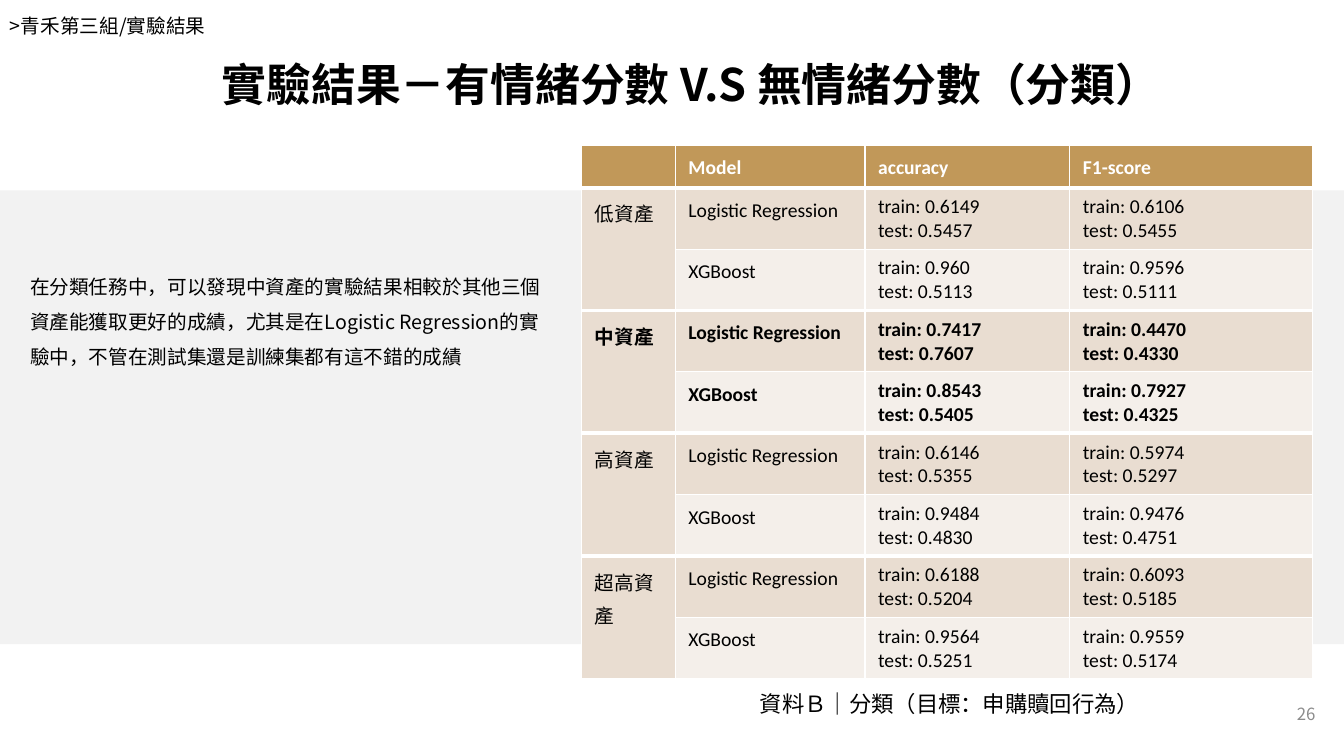
"""Build the slide comparing classification results by asset group."""
from dataclasses import dataclass

from lxml import etree
from pptx import Presentation
from pptx.dml.color import RGBColor
from pptx.enum.shapes import MSO_SHAPE
from pptx.enum.text import MSO_ANCHOR, MSO_AUTO_SIZE, PP_ALIGN
from pptx.oxml.ns import qn
from pptx.util import Cm, Pt

RECTANGLE = MSO_SHAPE.RECTANGLE
TOP, MIDDLE = MSO_ANCHOR.TOP, MSO_ANCHOR.MIDDLE
LEFT, CENTER, RIGHT = PP_ALIGN.LEFT, PP_ALIGN.CENTER, PP_ALIGN.RIGHT
NO_AUTOFIT = MSO_AUTO_SIZE.NONE


@dataclass(frozen=True)
class Theme:
    black: str = "000000"
    white: str = "FFFFFF"
    grey: str = "8C8C8C"
    band: str = "F2F2F2"
    header: str = "C19859"
    tan: str = "E9DDD1"
    cream: str = "F4EFEA"
    title_size: int = 32
    caption_size: int = 16
    body_size: int = 14
    number_size: int = 12
    chinese: str = "Noto Sans CJK TC"
    latin: str = "Calibri"


theme = Theme()


def format_text(frame, size, color, font_name, bold=False, align=LEFT, spacing=None):
    """Give every paragraph of a text frame one font, alignment and spacing."""
    for paragraph in frame.paragraphs:
        paragraph.alignment = align
        if spacing:
            paragraph.line_spacing = spacing
        paragraph.font.size = Pt(size)
        paragraph.font.bold = bold
        paragraph.font.color.rgb = RGBColor.from_string(color)
        paragraph.font.name = font_name
        properties = paragraph._p.pPr.find(qn("a:defRPr"))
        etree.SubElement(properties, qn("a:ea"), typeface=font_name)


def set_border(cell, side, points):
    """Draw one white edge of a table cell."""
    line = etree.SubElement(cell._tc.get_or_add_tcPr(), qn(f"a:ln{side}"), w=str(Pt(points)))
    fill = etree.SubElement(line, qn("a:solidFill"))
    etree.SubElement(fill, qn("a:srgbClr"), val=theme.white)


presentation = Presentation()
presentation.slide_width, presentation.slide_height = Cm(33.87), Cm(19.05)
slide = presentation.slides.add_slide(presentation.slide_layouts[5])

band = slide.shapes.add_shape(RECTANGLE, Cm(-0.1), Cm(4.8), Cm(33.99), Cm(11.43))
band.shadow.inherit = False
band.fill.solid()
band.fill.fore_color.rgb = RGBColor.from_string(theme.band)
band.line.fill.background()

title = slide.shapes.title
title.left, title.top, title.width, title.height = Cm(4.95), Cm(1.09), Cm(24.94), Cm(2.06)
title.text_frame.text = "實驗結果－有情緒分數 V.S 無情緒分數（分類）"
title.text_frame.auto_size = NO_AUTOFIT
title.text_frame.vertical_anchor = TOP
title.text_frame.margin_left = title.text_frame.margin_right = Cm(0.33)
title.text_frame.margin_top = title.text_frame.margin_bottom = Cm(0.33)
format_text(title.text_frame, theme.title_size, theme.black, theme.chinese, True, CENTER)

explanation = (
    "在分類任務中，可以發現中資產的實驗結果相較於其他三個資產能獲取更好的成績，"
    "尤其是在Logistic Regression的實驗中，不管在測試集還是訓練集都有這不錯的成績"
)
text_boxes = [
    ("26", (31.37, 17.27, 2.03, 1.45), (0.25, 0.25), MIDDLE,
     theme.number_size, theme.grey, RIGHT, None),
    (">青禾第三組/實驗結果", (0, 0.1, 12.29, 1.12), (0.25, 0.25), TOP,
     theme.body_size, theme.black, LEFT, None),
    ("資料Ｂ｜分類（目標：申購贖回行為）", (18.9, 17.27, 11.43, 0.94), (0.25, 0.13), TOP,
     theme.caption_size, theme.black, LEFT, None),
    (explanation, (0.43, 6.4, 13.92, 3.12), (0.33, 0.33), MIDDLE,
     theme.body_size, theme.black, LEFT, 1.5),
]
for text, place, (side_inset, end_inset), anchor, size, color, align, spacing in text_boxes:
    frame = slide.shapes.add_textbox(*map(Cm, place)).text_frame
    frame.text = text
    frame.word_wrap = True
    frame.vertical_anchor = anchor
    frame.margin_left = frame.margin_right = Cm(side_inset)
    frame.margin_top = frame.margin_bottom = Cm(end_inset)
    format_text(frame, size, color, theme.chinese, align=align, spacing=spacing)

groups = ["低資產", "中資產", "高資產", "超高資產"]
models = ["Logistic Regression", "XGBoost"]
best_group = "中資產"
scores = [
    ("0.6149", "0.5457", "0.6106", "0.5455"),
    ("0.960", "0.5113", "0.9596", "0.5111"),
    ("0.7417", "0.7607", "0.4470", "0.4330"),
    ("0.8543", "0.5405", "0.7927", "0.4325"),
    ("0.6146", "0.5355", "0.5974", "0.5297"),
    ("0.9484", "0.4830", "0.9476", "0.4751"),
    ("0.6188", "0.5204", "0.6093", "0.5185"),
    ("0.9564", "0.5251", "0.9559", "0.5174"),
]
rows = [("", "Model", "accuracy", "F1-score")]
for index, (accuracy_train, accuracy_test, f1_train, f1_test) in enumerate(scores):
    rows.append((
        groups[index // 2] if index % 2 == 0 else "",
        models[index % 2],
        f"train: {accuracy_train}\ntest: {accuracy_test}",
        f"train: {f1_train}\ntest: {f1_test}",
    ))

column_widths = [2.36, 4.78, 5.16, 6.12]
row_heights = [1.07] + [1.52] * len(scores)
table = slide.shapes.add_table(
    len(rows), len(column_widths), Cm(14.66), Cm(3.66),
    Cm(sum(column_widths)), Cm(sum(row_heights)),
).table
table.horz_banding = False
for column, width in zip(table.columns, column_widths):
    column.width = Cm(width)
for row, height in zip(table.rows, row_heights):
    row.height = Cm(height)

for row_index, values in enumerate(rows):
    is_header = row_index == 0
    starts_group = row_index % 2 == 1
    is_bold = is_header or groups[(row_index - 1) // 2] == best_group
    for column_index, value in enumerate(values):
        cell = table.cell(row_index, column_index)
        cell.text = value
        cell.margin_left = cell.margin_right = Cm(0.33)
        cell.margin_top = cell.margin_bottom = Cm(0.18)
        is_group = column_index == 0
        ends_group = (not starts_group or is_group) and row_index < len(scores) - 1
        for side, points in (("L", 1), ("R", 1), ("T", 3 if starts_group else 1),
                             ("B", 3 if ends_group else 1)):
            set_border(cell, side, points)
        if is_header:
            fill_color = theme.header
        else:
            fill_color = theme.tan if starts_group or is_group else theme.cream
        cell.fill.solid()
        cell.fill.fore_color.rgb = RGBColor.from_string(fill_color)
        format_text(
            cell.text_frame, theme.body_size,
            theme.white if is_header else theme.black,
            theme.chinese if is_group else theme.latin, is_bold,
            spacing=1.15 if is_header or column_index < 2 else None,
        )

for first_row in range(1, len(rows), 2):
    table.cell(first_row, 0).merge(table.cell(first_row + 1, 0))

presentation.save("out.pptx")
